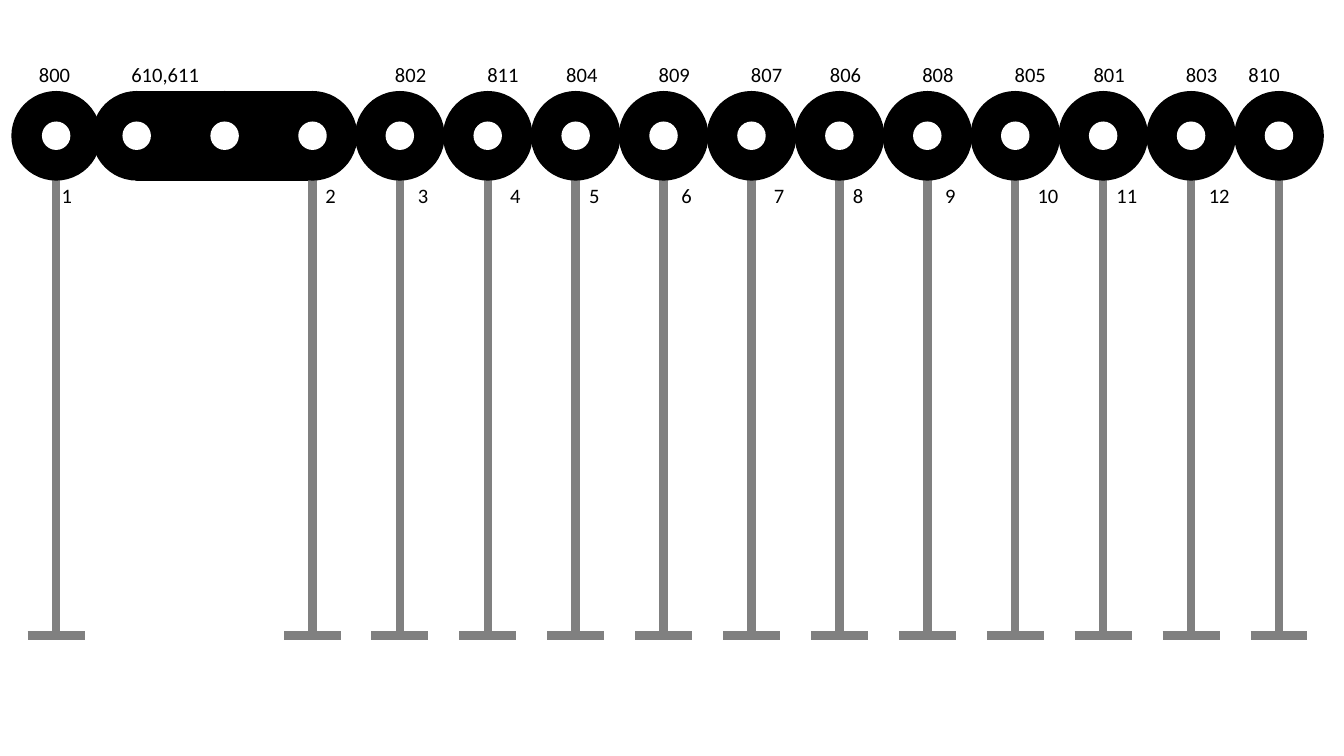
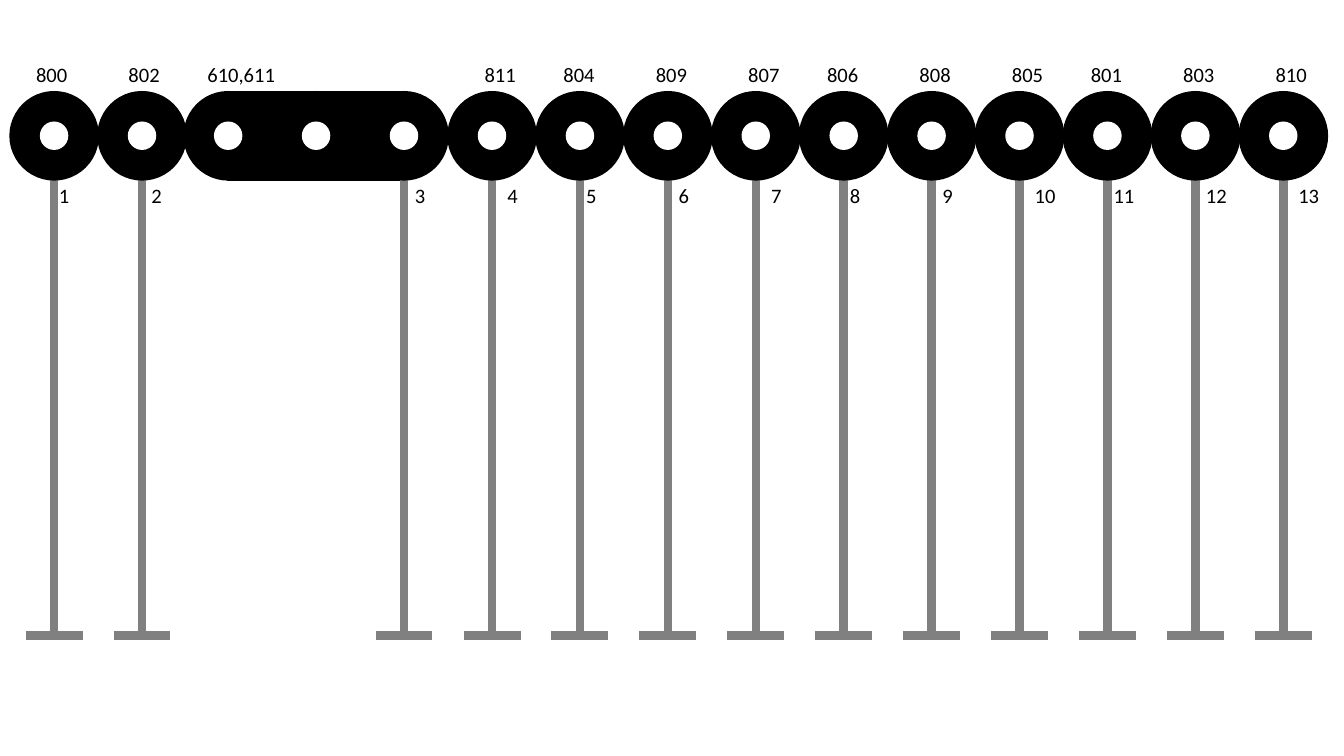
import dataclasses
import itertools

import pptx
import pptx.dml.color
import pptx.enum.shapes
import pptx.enum.text
import pptx.oxml.ns
import pptx.util
from lxml import etree

Pt = pptx.util.Pt
Shape = pptx.enum.shapes.MSO_SHAPE

# Shared look and measures, in points
BLACK, WHITE, GREY = "000000", "FFFFFF", "808080"
FONT, FONT_SIZE = "Calibri", 11
PITCH = 47.1
WHEEL, HUB = 46, 15.25
WHEEL_TOP, FLOOR = 49.75, 340.5
WHEEL_BOTTOM = WHEEL_TOP + WHEEL
FOOT_WIDTH = 30.5
POST_WEIGHT, RIM_WEIGHT = 4.5, 2
LABEL_HEIGHT = 21
NAMES_TOP, NUMBERS_TOP = 29.5, 94.5

# Tab stops: wide steps, with a short one at some positions
SHORT_STEPS = {2, 6, 9, 12}
STOPS = list(itertools.accumulate(42.25 if step in SHORT_STEPS else 49.5 for step in range(1, 15)))


@dataclasses.dataclass
class WheelRun:
    start: float  # centre of the first wheel
    count: int
    is_car: bool = False  # joined by a body, with a post under the last wheel only


@dataclasses.dataclass
class LabelRow:
    left: float
    top: float
    width: float
    labels: list[str]


@dataclasses.dataclass
class TrainPage:
    runs: list[WheelRun]
    rows: list[LabelRow]
    stops: list[float]


PAGES = [
    TrainPage(
        [WheelRun(73.25, 3, True), WheelRun(30.1, 1), WheelRun(214.2, 11)],
        [
            LabelRow(26, NUMBERS_TOP, 646.5,
                     ["1", "", "", *map(str, range(2, 13))]),
            LabelRow(13.75, NAMES_TOP, 680.5,
                     ["800", "610,611", "", "", "802", "811", "804", "809", "807",
                      "806", "808", "805", "801", "803", "810"]),
        ],
        STOPS[:13] + [648],
    ),
    TrainPage(
        [WheelRun(122.25, 3, True), WheelRun(29, 2), WheelRun(263.6, 10)],
        [
            LabelRow(24.5, NUMBERS_TOP, 696.25,
                     ["1", "2", "", "", *map(str, range(3, 14))]),
            LabelRow(12.25, NAMES_TOP, 702,
                     ["800", "802", "610,611", "", "", "811", "804", "809", "807",
                      "806", "808", "805", "801", "803", "810"]),
        ],
        STOPS,
    ),
]


def colour(code: str) -> pptx.dml.color.RGBColor:
    return pptx.dml.color.RGBColor.from_string(code)


def add_solid(shapes, kind, left: float, top: float, width: float, height: float,
              fill: str, rim: bool = True) -> None:
    solid = shapes.add_shape(kind, Pt(left), Pt(top), Pt(width), Pt(height))
    solid.shadow.inherit = False
    solid.fill.solid()
    solid.fill.fore_color.rgb = colour(fill)
    if rim:
        solid.line.color.rgb = colour(fill)
        solid.line.width = Pt(RIM_WEIGHT)
    else:
        solid.line.fill.background()


def add_bar(shapes, x1: float, y1: float, x2: float, y2: float) -> None:
    bar = shapes.add_connector(pptx.enum.shapes.MSO_CONNECTOR.STRAIGHT,
                               Pt(x1), Pt(y1), Pt(x2), Pt(y2))
    bar.line.color.rgb = colour(GREY)
    bar.line.width = Pt(POST_WEIGHT)
    etree.SubElement(bar._element.spPr, pptx.oxml.ns.qn("a:effectLst"))


def add_post(shapes, centre: float) -> None:
    add_bar(shapes, centre, WHEEL_BOTTOM, centre, FLOOR)
    add_bar(shapes, centre - FOOT_WIDTH / 2, FLOOR, centre + FOOT_WIDTH / 2, FLOOR)


def add_wheel(shapes, centre: float) -> None:
    group = shapes.add_group_shape()
    middle = WHEEL_TOP + WHEEL / 2
    for size, fill in ((WHEEL, BLACK), (HUB, WHITE)):
        add_solid(group.shapes, Shape.OVAL, centre - size / 2, middle - size / 2,
                  size, size, fill, rim=fill == BLACK)


def add_run(shapes, run: WheelRun) -> None:
    centres = [run.start + index * PITCH for index in range(run.count)]
    if run.is_car:
        add_solid(shapes, Shape.RECTANGLE, run.start, WHEEL_TOP,
                  centres[-1] - run.start, WHEEL, BLACK)
    for centre in centres[-1:] if run.is_car else centres:
        add_post(shapes, centre)
    for centre in centres:
        add_wheel(shapes, centre)


def add_labels(shapes, row: LabelRow, stops: list[float]) -> None:
    box = shapes.add_textbox(Pt(row.left), Pt(row.top), Pt(row.width), Pt(LABEL_HEIGHT))
    frame = box.text_frame
    frame.word_wrap = False
    frame.auto_size = pptx.enum.text.MSO_AUTO_SIZE.SHAPE_TO_FIT_TEXT
    para = frame.paragraphs[0]
    para.text = "\t".join(row.labels)
    tab_list = etree.SubElement(para._p.get_or_add_pPr(), pptx.oxml.ns.qn("a:tabLst"))
    for stop in stops:
        etree.SubElement(tab_list, pptx.oxml.ns.qn("a:tab"), pos=str(Pt(stop)), algn="l")
    for span in para.runs:
        span.font.name = FONT
        span.font.size = Pt(FONT_SIZE)
        span.font.color.rgb = colour(BLACK)


def main() -> None:
    deck = pptx.Presentation()
    deck.slide_width, deck.slide_height = Pt(720), Pt(405)
    for train in PAGES:
        page = deck.slides.add_slide(deck.slide_layouts[6])
        for run in train.runs:
            add_run(page.shapes, run)
        for row in train.rows:
            add_labels(page.shapes, row, train.stops)
    deck.save("out.pptx")


if __name__ == "__main__":
    main()
